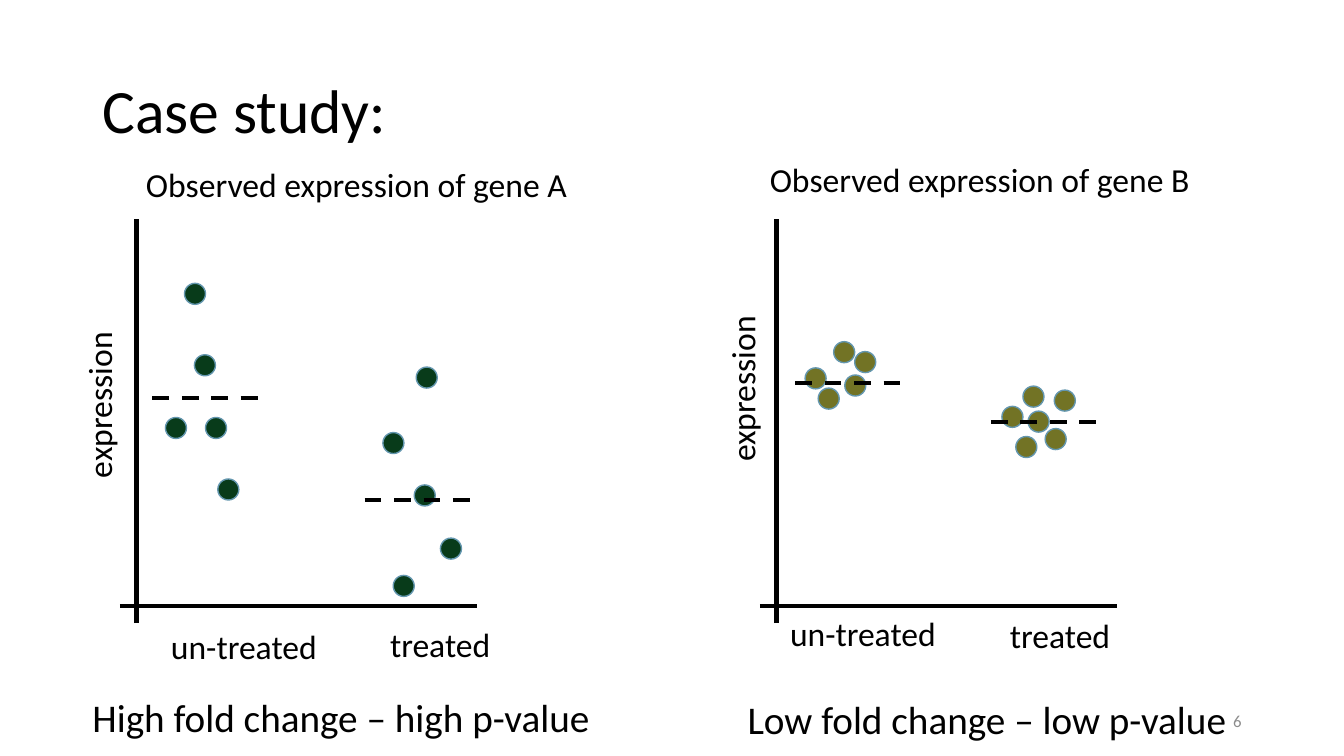
import pptx
import pptx.dml.color
import pptx.enum.dml
import pptx.enum.shapes
import pptx.enum.text
import pptx.oxml
import pptx.oxml.ns
import pptx.util

Cm = pptx.util.Cm
Pt = pptx.util.Pt
RGBColor = pptx.dml.color.RGBColor
ALIGN = pptx.enum.text.PP_ALIGN
ANCHOR = pptx.enum.text.MSO_ANCHOR

BLACK = RGBColor(0x00, 0x00, 0x00)
GRAY = RGBColor(0x8C, 0x8C, 0x8C)
DARK_GREEN = RGBColor(0x08, 0x3B, 0x1A)
OLIVE = RGBColor(0x72, 0x73, 0x25)
DOT_OUTLINE = RGBColor(0x64, 0x97, 0xAF)

PANEL_TOP, PANEL_WIDTH, PANEL_HEIGHT = 5.51, 8.99, 10.19
Y_AXIS_X, X_AXIS_Y = 0.42, 9.76
DOT_SIZE, MEAN_WIDTH, LABEL_HEIGHT = 0.53, 2.77, 1.27

TITLE_STYLE = {"size": 44, "anchor": ANCHOR.MIDDLE, "paragraph": {"line_spacing": 0.9}}
CAPTION_STYLE = {"size": 28, "anchor": ANCHOR.BOTTOM, "paragraph": {"line_spacing": 0.9}}
LABEL_STYLE = {"size": 24, "wrap": False}
NUMBER_STYLE = {"size": 12, "color": GRAY, "anchor": ANCHOR.MIDDLE,
                "paragraph": {"alignment": ALIGN.RIGHT}}

GENE_A = {
    "left": 3.02,
    "color": DARK_GREEN,
    "dots": [(1.63, 1.63), (1.88, 3.43), (1.15, 5.01), (2.16, 5.01), (2.47, 6.56),
             (7.47, 3.74), (6.63, 5.39), (7.42, 6.71), (8.08, 8.05), (6.89, 8.99)],
    "means": [(0.82, 4.52), (6.17, 7.09)],
    "labels": [("Observed expression of gene A", 0.41, -1.5, 11.23, 0),
               ("un-treated", 1.04, 10.14, 4.42, 0),
               ("treated", 6.56, 10.09, 3.25, 0),
               ("expression", -2.64, 4.04, 4.22, 270)],
    "caption": ("High fold change – high p-value", -0.94, 11),
}
GENE_B = {
    "left": 19.15,
    "color": OLIVE,
    "dots": [(1.86, 3.1), (2.39, 3.35), (1.14, 3.76), (2.14, 3.94), (1.47, 4.27),
             (6.63, 4.22), (7.42, 4.32), (6.1, 4.73), (6.76, 4.85), (7.19, 5.29),
             (6.45, 5.49)],
    "means": [(0.89, 4.14), (5.82, 5.13)],
    "labels": [("Observed expression of gene B", 0, -1.62, 11.2, 0),
               ("un-treated", 0.51, 9.81, 4.42, 0),
               ("treated", 6.05, 9.86, 3.25, 0),
               ("expression", -2.56, 3.63, 4.22, 270)],
    "caption": ("Low fold change – low p-value", -0.56, 11.05),
}


def set_attributes(target, values):
    for name, value in values.items():
        setattr(target, name, value)


def add_text(slide, text, box, style, rotation=0):
    textbox = slide.shapes.add_textbox(*(Cm(length) for length in box))
    textbox.rotation = rotation
    frame = textbox.text_frame
    set_attributes(frame, {"word_wrap": style.get("wrap", True),
                           "vertical_anchor": style.get("anchor", ANCHOR.TOP)})
    paragraph = frame.paragraphs[0]
    set_attributes(paragraph, style.get("paragraph", {}))
    run = paragraph.add_run()
    run.text = text
    set_attributes(run.font, {"name": "Calibri", "size": Pt(style["size"])})
    run.font.color.rgb = style.get("color", BLACK)


def add_line(slide, x1, y1, x2, y2, dash=None):
    line = slide.shapes.add_connector(
        pptx.enum.shapes.MSO_CONNECTOR.STRAIGHT, Cm(x1), Cm(y1), Cm(x2), Cm(y2))
    set_attributes(line.line, {"width": Pt(3), "dash_style": dash})
    line.line.color.rgb = BLACK
    properties = line._element.spPr
    properties.append(pptx.oxml.parse_xml(
        f'<a:effectLst {pptx.oxml.ns.nsdecls("a")}/>'))


def add_dot(slide, x, y, color):
    dot = slide.shapes.add_shape(
        pptx.enum.shapes.MSO_SHAPE.OVAL, Cm(x), Cm(y), Cm(DOT_SIZE), Cm(DOT_SIZE))
    dot.shadow.inherit = False
    dot.fill.solid()
    dot.fill.fore_color.rgb = color
    dot.line.color.rgb = DOT_OUTLINE
    dot.line.width = Pt(1)


def add_gene_panel(slide, gene, left, top, width, height):
    for text, x, y, label_width, rotation in gene["labels"]:
        add_text(slide, text, (left + x, top + y, label_width, LABEL_HEIGHT),
                 LABEL_STYLE, rotation)
    caption, x, y = gene["caption"]
    add_text(slide, caption, (left + x, top + y, 14.4, 2.29), CAPTION_STYLE)

    add_line(slide, left, top + X_AXIS_Y, left + width, top + X_AXIS_Y)
    add_line(slide, left + Y_AXIS_X, top + height, left + Y_AXIS_X, top)
    for x, y in gene["dots"]:
        add_dot(slide, left + x, top + y, gene["color"])
    for x, y in gene["means"]:
        add_line(slide, left + x, top + y, left + x + MEAN_WIDTH, top + y,
                 pptx.enum.dml.MSO_LINE.DASH)


def main():
    presentation = pptx.Presentation()
    set_attributes(presentation, {"slide_width": Cm(33.87), "slide_height": Cm(19.05)})
    slide = presentation.slides.add_slide(presentation.slide_layouts[6])
    add_text(slide, "Case study:", (2.33, 1.01, 29.21, 3.68), TITLE_STYLE)
    add_text(slide, "6", (23.92, 17.66, 7.62, 1.01), NUMBER_STYLE)
    for gene in (GENE_A, GENE_B):
        add_gene_panel(slide, gene, gene["left"], PANEL_TOP, PANEL_WIDTH, PANEL_HEIGHT)
    presentation.save("out.pptx")


if __name__ == "__main__":
    main()
